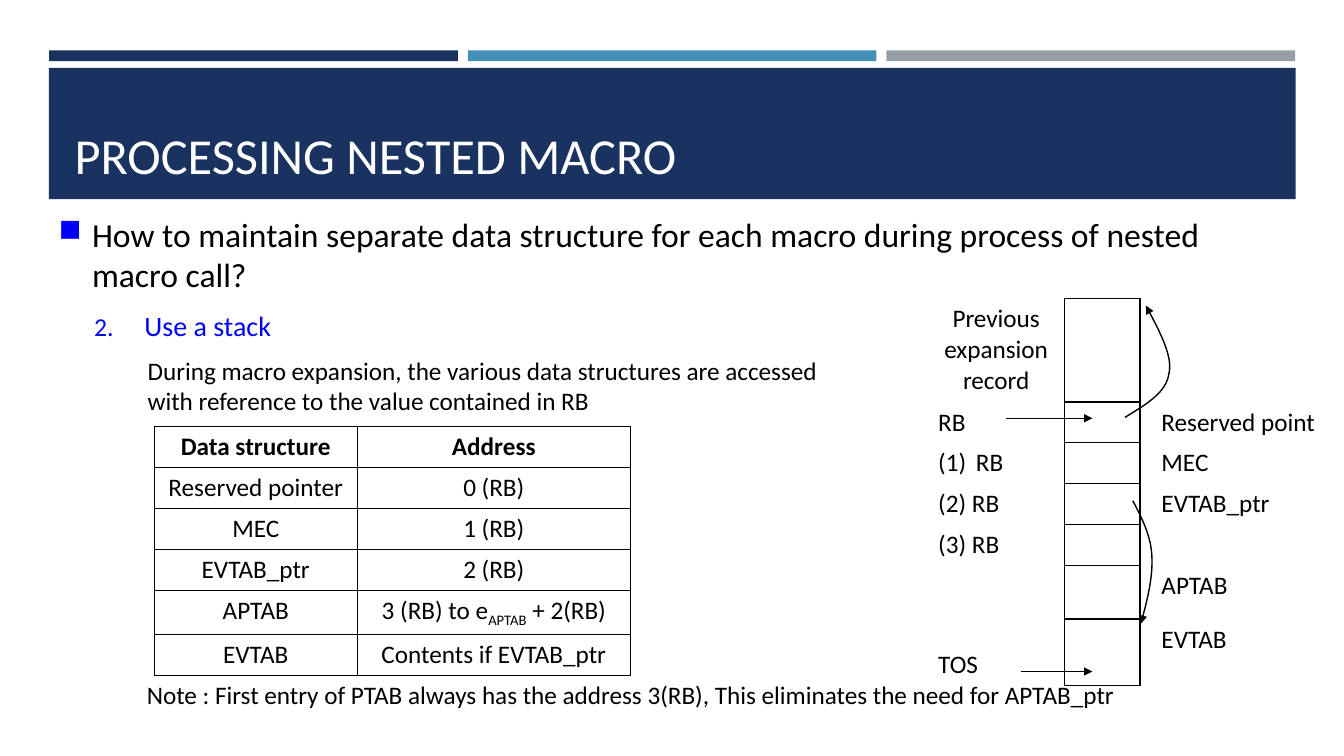
"""Build the slide about stack-based processing of nested macros."""
import pptx
import pptx.dml.color
import pptx.enum.shapes
import pptx.enum.text
import pptx.oxml
import pptx.oxml.ns
import pptx.util

Cm = pptx.util.Cm
Pt = pptx.util.Pt
color = pptx.dml.color.RGBColor.from_string
qn = pptx.oxml.ns.qn
NAMESPACE = pptx.oxml.ns.nsdecls("a")
CENTER = pptx.enum.text.PP_ALIGN.CENTER
LEFT = pptx.enum.text.PP_ALIGN.LEFT
BOTTOM = pptx.enum.text.MSO_ANCHOR.BOTTOM
NAVY, BLUE, BLACK = "1A3260", "0000FF", "000000"


def set_font(paragraph, size, hex_color=BLACK, bold=False):
    font = paragraph.font
    font.name = "Calibri"
    font.size = Pt(size)
    font.bold = bold
    font.color.rgb = color(hex_color)


def style_cell(cell, text, sides, alignment, bold=False):
    properties = cell._tc.get_or_add_tcPr()
    for side in "LRTB":
        fill = f'<a:solidFill><a:srgbClr val="{BLACK}"/></a:solidFill>' if side in sides else "<a:noFill/>"
        properties.append(pptx.oxml.parse_xml(f'<a:ln{side} {NAMESPACE} w="12700">{fill}</a:ln{side}>'))
    cell.fill.background()
    paragraph = cell.text_frame.paragraphs[0]
    paragraph.text = text
    paragraph.alignment = alignment
    set_font(paragraph, 18, bold=bold)


presentation = pptx.Presentation()
presentation.slide_width = Cm(33.87)
presentation.slide_height = Cm(19.05)
slide = presentation.slides.add_slide(presentation.slide_layouts[6])
shapes = slide.shapes

bands = [
    (1.24, 1.27, 10.3, 0.27, NAVY),
    (11.79, 1.27, 10.3, 0.27, "4590B8"),
    (22.34, 1.27, 10.3, 0.27, "969FA7"),
    (1.23, 1.71, 31.42, 3.31, NAVY),
]
for left, top, width, height, fill_color in bands:
    band = shapes.add_shape(pptx.enum.shapes.MSO_SHAPE.RECTANGLE, Cm(left), Cm(top), Cm(width), Cm(height))
    band.shadow.inherit = False
    band.fill.solid()
    band.fill.fore_color.rgb = color(fill_color)
    band.line.fill.background()

title = shapes.add_textbox(Cm(1.63), Cm(1.96), Cm(30.63), Cm(2.82)).text_frame
title.word_wrap = True
title.vertical_anchor = BOTTOM
title.paragraphs[0].text = "PROCESSING NESTED MACRO"
set_font(title.paragraphs[0], 36, "FFFFFF")

question = "How to maintain separate data structure for each macro during process of nested macro call?"
explanation = ("During macro expansion, the various data structures are accessed\n"
               "with reference to the value contained in RB")
outline = [
    (question, 24, BLACK, 0.84, -0.84, '<a:buChar {} char="■"/>'),
    ("Use a stack", 20, BLUE, 2.16, -1.27, '<a:buAutoNum {} type="arabicPeriod" startAt="2"/>'),
    (explanation, 18, BLACK, 2.24, 0, None),
]
body = shapes.add_textbox(Cm(1.23), Cm(5.26), Cm(31.42), Cm(5.4)).text_frame
body.word_wrap = True
for index, (text, size, text_color, margin, indent, bullet) in enumerate(outline):
    paragraph = body.add_paragraph() if index else body.paragraphs[0]
    paragraph.text = text
    properties = paragraph._p.get_or_add_pPr()
    properties.set("marL", str(Cm(margin)))
    properties.set("indent", str(Cm(indent)))
    if bullet:
        for element in (f'<a:buClr {NAMESPACE}><a:srgbClr val="{BLUE}"/></a:buClr>',
                        f'<a:buSzPct {NAMESPACE} val="92000"/>',
                        bullet.format(NAMESPACE)):
            properties.append(pptx.oxml.parse_xml(element))
    if index:
        paragraph.space_before = Pt(size * 0.2)
    paragraph.space_after = Pt(6)
    set_font(paragraph, size, text_color)

note = shapes.add_textbox(Cm(3.45), Cm(17), Cm(29.2), Cm(1.03)).text_frame
note.word_wrap = True
note.paragraphs[0].text = "Note : First entry of PTAB always has the address 3(RB), This eliminates the need for APTAB_ptr"
set_font(note.paragraphs[0], 18)

address_rows = [
    ("Data structure", "Address"),
    ("Reserved pointer", "0 (RB)"),
    ("MEC", "1 (RB)"),
    ("EVTAB_ptr", "2 (RB)"),
    ("APTAB", ""),
    ("EVTAB", "Contents if EVTAB_ptr"),
]
stack_rows = [
    ("Previous expansion record", "", ""),
    ("RB", "", "Reserved point"),
    ("RB", "", "MEC"),
    ("(2) RB", "", "EVTAB_ptr"),
    ("(3) RB", "", ""),
    ("", "", "APTAB"),
    ("TOS", "", "EVTAB"),
]
tables = []
for left, top, widths, heights, rows, column_sides in [
    (3.89, 10.75, [5.11, 6.89], [1.03] * 4 + [1.12, 1.03], address_rows, ["LRTB", "LRTB"]),
    (23.39, 7.53, [3.43, 1.91, 4.95], [2.6] + [1.03] * 4 + [1.35, 1.68], stack_rows, ["R", "LRTB", "L"]),
]:
    table = shapes.add_table(len(rows), len(widths), Cm(left), Cm(top),
                             Cm(sum(widths)), Cm(sum(heights))).table
    table.first_row = False
    table.horz_banding = False
    for column, width in zip(table.columns, widths):
        column.width = Cm(width)
    for row_index, (row, height) in enumerate(zip(rows, heights)):
        table.rows[row_index].height = Cm(height)
        for column_index, (text, sides) in enumerate(zip(row, column_sides)):
            centered = rows is address_rows or row_index == 0
            style_cell(table.cell(row_index, column_index), text, sides,
                       CENTER if centered else LEFT, rows is address_rows and row_index == 0)
    tables.append(table)
address_table, stack_table = tables

aptab_address = address_table.cell(4, 1).text_frame.paragraphs[0]
for text, baseline in [("3 (RB) to e", 0), ("APTAB", -25000), (" + 2(RB)", 0)]:
    run = aptab_address.add_run()
    run.text = text
    if baseline:
        run.font._element.set("baseline", str(baseline))

for row_index in range(len(stack_rows)):
    stack_table.cell(row_index, 2).margin_left = Cm(0.54)
stack_table.cell(6, 0).vertical_anchor = BOTTOM
numbered = stack_table.cell(2, 0).text_frame.paragraphs[0]._p.get_or_add_pPr()
numbered.set("marL", str(Cm(0.95)))
numbered.set("indent", str(Cm(-0.95)))
numbered.insert(0, pptx.oxml.parse_xml(f'<a:buAutoNum {NAMESPACE} type="arabicParenBoth"/>'))

arrows = []
for start, y in [(25.35, 10.54), (25.73, 16.92)]:
    arrows.append(shapes.add_connector(pptx.enum.shapes.MSO_CONNECTOR.STRAIGHT, Cm(start), Cm(y), Cm(27.53), Cm(y)))

STEPS = 12
curves = [
    [(28.35, 10.52), (28.85, 10.21), (29.39, 9.91), (29.46, 9.42), (29.57, 8.97), (29.21, 8.33), (28.88, 7.7)],
    [(28.55, 12.62), (28.78, 13.06), (29.01, 13.51), (29.03, 14.02), (29.06, 14.55), (28.91, 15.14), (28.75, 15.72)],
]
for curve in curves:
    points = []
    for first in (0, 3):
        for step in range(1, STEPS + 1):
            t = step / STEPS
            weights = [(1 - t) ** 3, 3 * t * (1 - t) ** 2, 3 * t ** 2 * (1 - t), t ** 3]
            points.append([Cm(sum(weight * point[axis] for weight, point in zip(weights, curve[first:first + 4])))
                           for axis in (0, 1)])
    builder = shapes.build_freeform(Cm(curve[0][0]), Cm(curve[0][1]))
    builder.add_line_segments(points, close=False)
    pointer = builder.convert_to_shape()
    pointer.fill.background()
    arrows.append(pointer)

for arrow in arrows:
    arrow.line.color.rgb = color(BLACK)
    arrow.line.width = Pt(1)
    properties = arrow._element.spPr
    properties.find(qn("a:ln")).append(pptx.oxml.parse_xml(f'<a:tailEnd {NAMESPACE} type="triangle"/>'))
    properties.append(pptx.oxml.parse_xml(f"<a:effectLst {NAMESPACE}/>"))

presentation.save("out.pptx")
